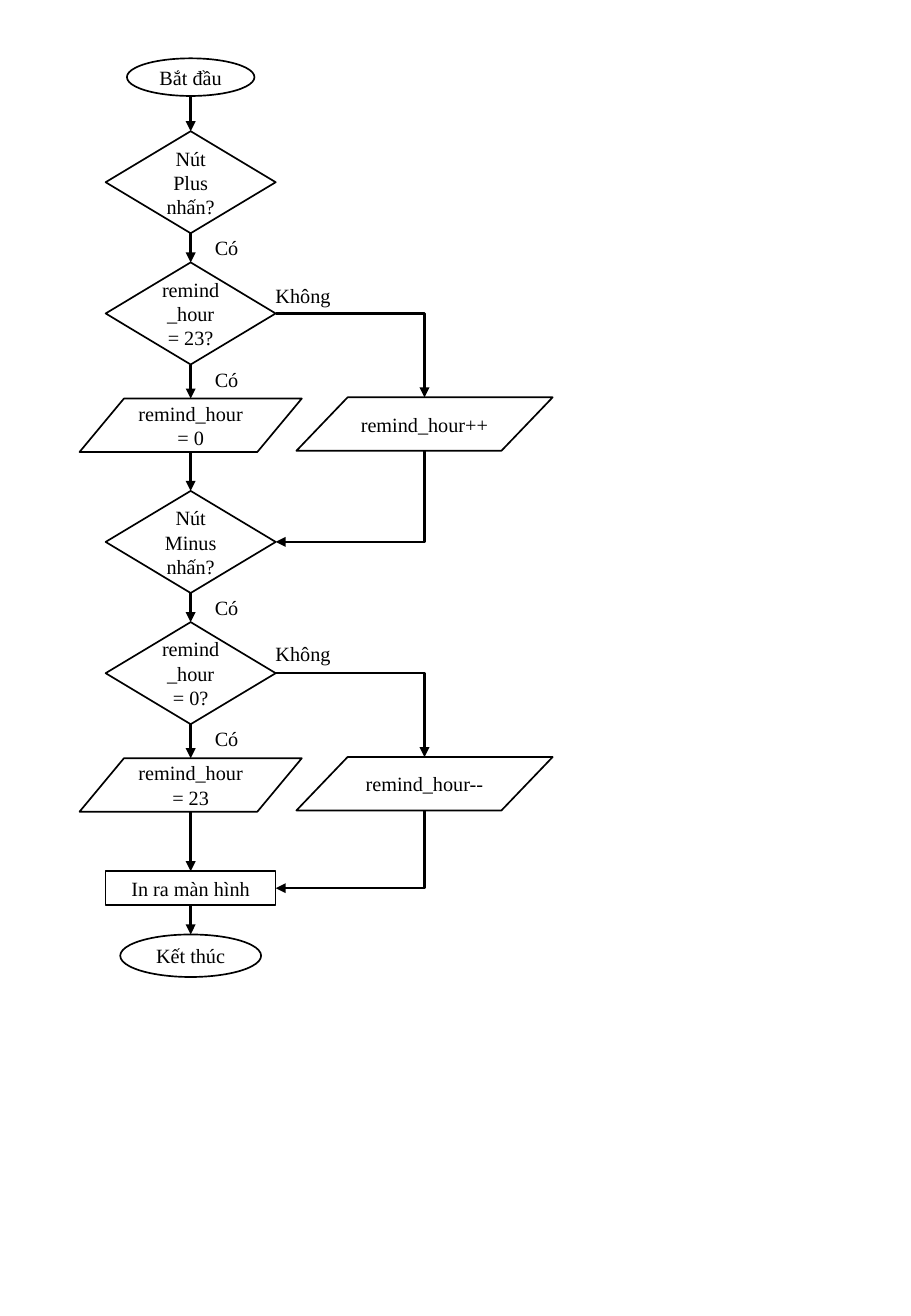
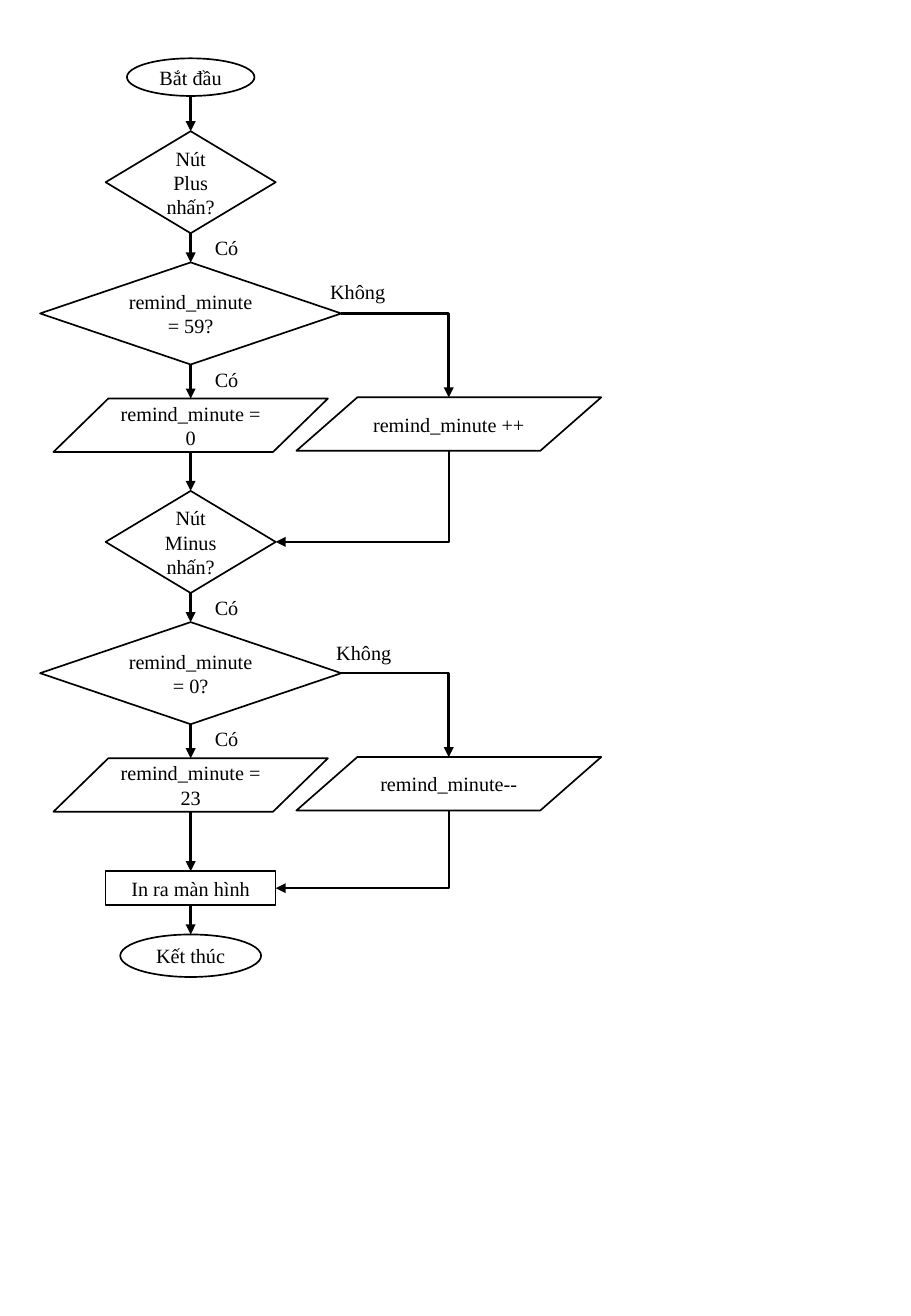
from dataclasses import dataclass

from lxml import etree
from pptx import Presentation
from pptx.dml.color import RGBColor
from pptx.enum.shapes import MSO_CONNECTOR, MSO_SHAPE
from pptx.enum.text import MSO_ANCHOR, MSO_AUTO_SIZE, PP_ALIGN
from pptx.oxml.ns import qn
from pptx.util import Inches, Pt

STRAIGHT, ELBOW = MSO_CONNECTOR.STRAIGHT, MSO_CONNECTOR.ELBOW
TERMINAL, RECTANGLE = MSO_SHAPE.OVAL, MSO_SHAPE.RECTANGLE
DECISION, DATA = MSO_SHAPE.FLOWCHART_DECISION, MSO_SHAPE.FLOWCHART_DATA
MIDDLE, CENTER, LEFT = MSO_ANCHOR.MIDDLE, PP_ALIGN.CENTER, PP_ALIGN.LEFT
GROW = MSO_AUTO_SIZE.SHAPE_TO_FIT_TEXT
RIGHT_SITE = 3


@dataclass(frozen=True)
class Theme:
    ink: RGBColor = RGBColor(0, 0, 0)
    font: str = "Times New Roman"
    text_size: Pt = Pt(12)
    outline: Pt = Pt(1)
    arrow: Pt = Pt(1.5)


theme = Theme()

AXIS = 1.57
BLOCK = 2.96
DECISION_WIDTH, DECISION_HEIGHT = 1.4, 0.84
DATA_HEIGHT = 0.44
BRANCH_LEFT, BRANCH_TOP = 2.44, 3.27
LABEL_LEFT, LABEL_HEIGHT = 1.67, 0.3

flows = [
    {
        "check_width": 1.4, "reset_width": 1.83, "branch_width": 2.11,
        "steps": [
            ("Nút Plus nhấn?", "remind_hour = 23?", "remind_hour = 0",
             "remind_hour++", (2.17, 2.28)),
            ("Nút Minus nhấn?", "remind_hour = 0?", "remind_hour = 23",
             "remind_hour--", (2.17, 5.23)),
        ],
    },
    {
        "check_width": 2.48, "reset_width": 2.26, "branch_width": 2.51,
        "steps": [
            ("Nút Plus nhấn?", "remind_minute = 59?", "remind_minute = 0",
             "remind_minute ++", (2.62, 2.25)),
            ("Nút Minus nhấn?", "remind_minute = 0?", "remind_minute = 23",
             "remind_minute--", (2.67, 5.22)),
        ],
    },
]


def write_text(shape, text, alignment):
    shape.text_frame.word_wrap = True
    paragraph = shape.text_frame.paragraphs[0]
    paragraph.alignment = alignment
    run = paragraph.add_run()
    run.text = text
    run.font.name = theme.font
    run.font.size = theme.text_size
    run.font.color.rgb = theme.ink


def add_arrow(slide, kind, start, end, arrow_end="a:tailEnd"):
    connector = slide.shapes.add_connector(
        kind, *(Inches(value) for value in (*start, *end)))
    connector.line.color.rgb = theme.ink
    connector.line.width = theme.arrow
    properties = connector._element.spPr
    etree.SubElement(properties.find(qn("a:ln")), qn(arrow_end), type="triangle")
    etree.SubElement(properties, qn("a:effectLst"))
    if kind == ELBOW:
        properties.find(qn("a:prstGeom")).set("prst", "bentConnector2")
    return connector


presentation = Presentation()
presentation.slide_width = Inches(7.5)
presentation.slide_height = Inches(10.83)
blank_layout = presentation.slide_layouts[6]

for flow in flows:
    slide = presentation.slides.add_slide(blank_layout)
    branch_width = flow["branch_width"]
    branch_axis = BRANCH_LEFT + branch_width / 2

    nodes = [(TERMINAL, "Bắt đầu", AXIS, 0.48, 1.05, 0.31)]
    branches = []
    labels = []
    for index, (button, check, reset, change, no_place) in enumerate(flow["steps"]):
        offset = index * BLOCK
        nodes += [
            (DECISION, button, AXIS, 1.08 + offset, DECISION_WIDTH, DECISION_HEIGHT),
            (DECISION, check, AXIS, 2.16 + offset, flow["check_width"], DECISION_HEIGHT),
            (DATA, reset, AXIS, 3.28 + offset, flow["reset_width"], DATA_HEIGHT),
        ]
        branches.append(
            (DATA, change, branch_axis, BRANCH_TOP + offset, branch_width, DATA_HEIGHT))
        labels += [
            ("Có", LABEL_LEFT, 1.89 + offset, 0.5),
            ("Có", LABEL_LEFT, 2.97 + offset, 0.5),
            ("Không", *no_place, 0.74),
        ]
    nodes += [
        (RECTANGLE, "In ra màn hình", AXIS, 7.17, DECISION_WIDTH, 0.28),
        (TERMINAL, "Kết thúc", AXIS, 7.69, 1.16, 0.35),
    ]

    shapes = []
    for kind, text, axis, top, width, height in nodes + branches:
        shape = slide.shapes.add_shape(
            kind, Inches(axis - width / 2), Inches(top), Inches(width), Inches(height))
        shape.shadow.inherit = False
        shape.fill.background()
        shape.line.color.rgb = theme.ink
        shape.line.width = theme.outline
        shape.text_frame.vertical_anchor = MIDDLE
        write_text(shape, text, CENTER)
        shapes.append(shape)

    for upper, lower in zip(nodes, nodes[1:]):
        add_arrow(slide, STRAIGHT, (AXIS, upper[3] + upper[5]), (AXIS, lower[3]))

    for index, branch in enumerate(branches):
        check_index = 2 + 3 * index
        top, bottom = branch[3], branch[3] + DATA_HEIGHT
        for node_index, branch_edge, arrow_end in (
            (check_index, top, "a:tailEnd"),
            (check_index + 2, bottom, "a:headEnd"),
        ):
            _, _, axis, node_top, width, height = nodes[node_index]
            connector = add_arrow(
                slide, ELBOW, (axis + width / 2, node_top + height / 2),
                (branch_axis, branch_edge), arrow_end)
            connector.begin_connect(shapes[node_index], RIGHT_SITE)

    for text, left, top, width in labels:
        label = slide.shapes.add_textbox(
            Inches(left), Inches(top), Inches(width), Inches(LABEL_HEIGHT))
        label.text_frame.auto_size = GROW
        write_text(label, text, LEFT)

presentation.save("out.pptx")
